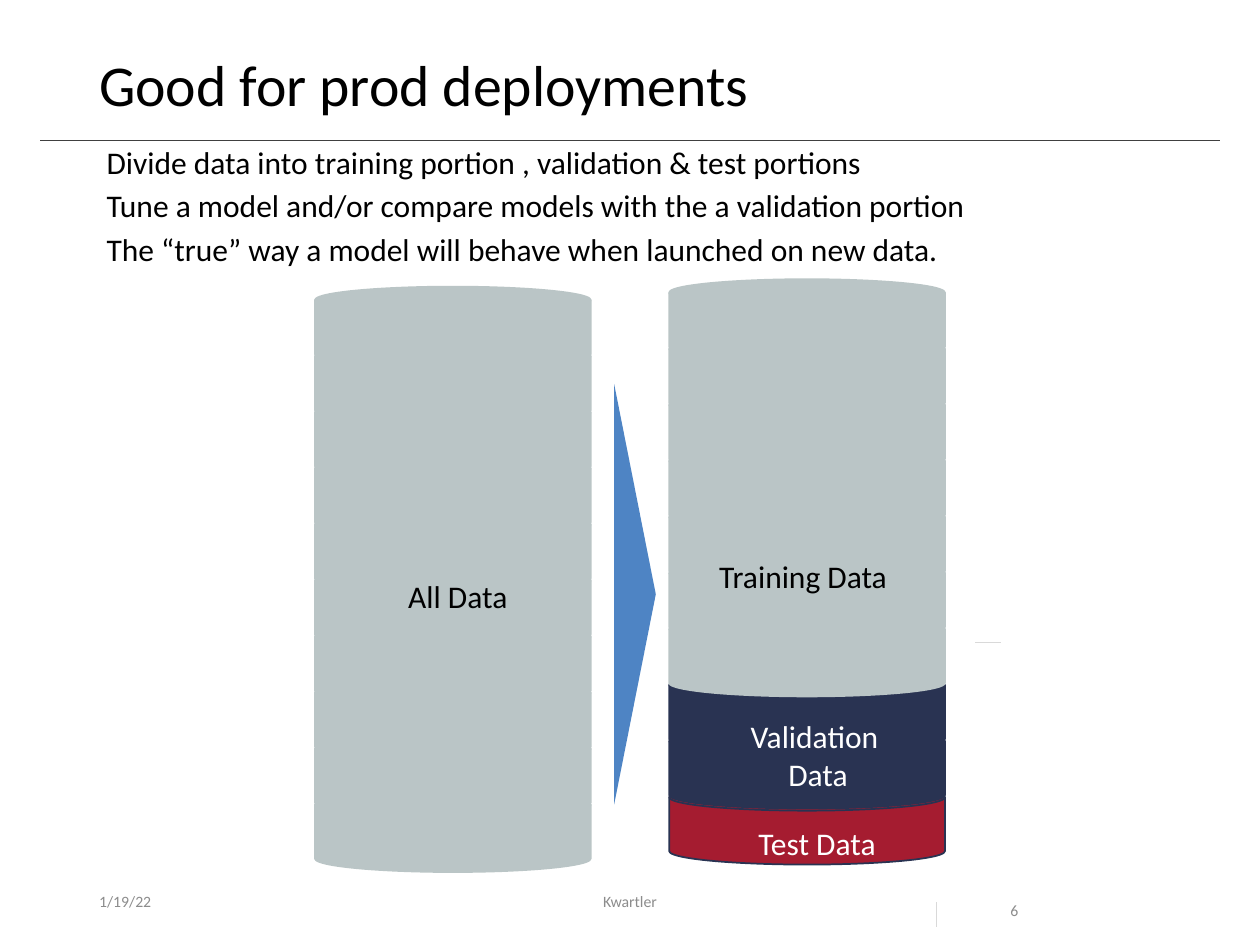
from lxml import etree
from pptx import Presentation
from pptx import util as u
from pptx.dml.color import RGBColor
from pptx.enum import shapes, text
from pptx.oxml import ns

BLACK = RGBColor(0x00, 0x00, 0x00)
WHITE = RGBColor(0xFF, 0xFF, 0xFF)
FOOTER_GRAY = RGBColor(0x8C, 0x8C, 0x8C)
MARK_GRAY = RGBColor(0xD9, 0xD9, 0xD9)
RULE_GRAY = RGBColor(0x40, 0x40, 0x40)
SILVER = RGBColor(0xBA, 0xC5, 0xC6)
NAVY = RGBColor(0x29, 0x33, 0x52)
CRIMSON = RGBColor(0xA5, 0x1C, 0x30)
BLUE = RGBColor(0x4E, 0x84, 0xC4)

DISK_WIDTH, DISK_HEIGHT, DISK_STEP = 5.56, 1.63, 1.13


class Deck:
    """Holds the style, the current slide and the place shapes go; lengths in cm."""

    font = "Calibri"

    def __init__(self, width, height):
        self.prs = Presentation()
        self.prs.slide_width, self.prs.slide_height = u.Cm(width), u.Cm(height)
        self.slide = self.prs.slides.add_slide(self.prs.slide_layouts[6])
        self.canvas = self.slide.shapes

    def begin_group(self):
        self.canvas = self.slide.shapes.add_group_shape().shapes

    def end_group(self):
        self.canvas = self.slide.shapes

    def label(self, box, lines, size=18, color=BLACK, align=None, anchor=None,
              spacing=None, before=None, wrap=True):
        frame = self.canvas.add_textbox(*map(u.Cm, box)).text_frame
        frame.word_wrap = wrap
        if not wrap:
            frame.auto_size = text.MSO_AUTO_SIZE.SHAPE_TO_FIT_TEXT
        if anchor:
            frame.vertical_anchor = anchor
        for i, line in enumerate(lines):
            paragraph = frame.add_paragraph() if i else frame.paragraphs[0]
            paragraph.alignment = align
            paragraph.line_spacing = spacing
            paragraph.space_before = before
            run = paragraph.add_run()
            run.text = line
            run.font.name, run.font.size = self.font, u.Pt(size)
            run.font.color.rgb = color

    def shape(self, kind, box, fill, line=None):
        shape = self.canvas.add_shape(kind, *map(u.Cm, box))
        shape.shadow.inherit = False
        shape.fill.solid()
        shape.fill.fore_color.rgb = fill
        if line is None:
            shape.line.fill.background()
        else:
            shape.line.color.rgb = line
            shape.line.width = u.Pt(1)
        return shape

    def cylinder(self, left, lowest_top, colors):
        """Stack disks upwards, given (fill, line) from the bottom disk."""
        for i, (fill, line) in enumerate(colors):
            box = (left, lowest_top - i * DISK_STEP, DISK_WIDTH, DISK_HEIGHT)
            self.shape(shapes.MSO_SHAPE.FLOWCHART_MAGNETIC_DISK, box, fill, line)

    def line(self, ends, color):
        rule = self.canvas.add_connector(shapes.MSO_CONNECTOR.STRAIGHT, *map(u.Cm, ends))
        rule.line.color.rgb = color
        rule.line.width = u.Pt(0.5)
        etree.SubElement(rule._element.spPr, ns.qn("a:effectLst"))


def main():
    deck = Deck(25.4, 19.05)
    center, middle = text.PP_ALIGN.CENTER, text.MSO_ANCHOR.MIDDLE

    # Title and footer
    deck.line((0.81, 2.84, 24.59, 2.84), RULE_GRAY)
    deck.label((1.75, 17.65, 5.72, 1.02), ["1/19/22"], 9, FOOTER_GRAY, anchor=middle)
    deck.label((1.75, 1.02, 21.9, 1.65), ["Good for prod deployments"], 33, spacing=0.9)
    deck.label((8.41, 17.65, 8.58, 1.02), ["Kwartler"], 9, FOOTER_GRAY, center, middle)
    deck.label((20.12, 17.65, 2.39, 1.02), ["6"], 9, FOOTER_GRAY, spacing=2.0)

    # Key points
    deck.label((1.9, 2.9, 21.59, 2.74), [
        "Divide data into training portion , validation & test portions",
        "Tune a model and/or compare models with the a validation portion",
        "The “true” way a model will behave when launched on new data.",
    ], spacing=0.8, before=u.Pt(7.5))

    # All data, split into training, validation and test data
    deck.begin_group()
    deck.cylinder(6.35, 15.95, [(SILVER, SILVER)] * 10)
    deck.label((7.98, 11.51, 2.54, 0.99), ["All Data"], wrap=False)
    arrow = deck.shape(shapes.MSO_SHAPE.ISOSCELES_TRIANGLE, (8.56, 11.56, 8.48, 0.84), BLUE)
    arrow.rotation = 90
    deck.cylinder(13.49, 15.8,
                  [(CRIMSON, NAVY)] + [(NAVY, NAVY)] * 2 + [(SILVER, SILVER)] * 7)
    deck.label((14.25, 11.1, 4.09, 0.99), ["Training Data"], wrap=False)
    deck.label((15.04, 16.48, 2.9, 0.99), ["Test Data"], color=WHITE, wrap=False)
    deck.end_group()
    deck.label((14.86, 14.33, 3.12, 1.8), ["Validation", " Data"],
               color=WHITE, align=center, wrap=False)

    # Small marks near the page number
    deck.line((18.87, 18.19, 18.87, 18.69), MARK_GRAY)
    deck.line((19.66, 12.95, 20.17, 12.95), MARK_GRAY)

    deck.prs.save("out.pptx")


if __name__ == "__main__":
    main()
